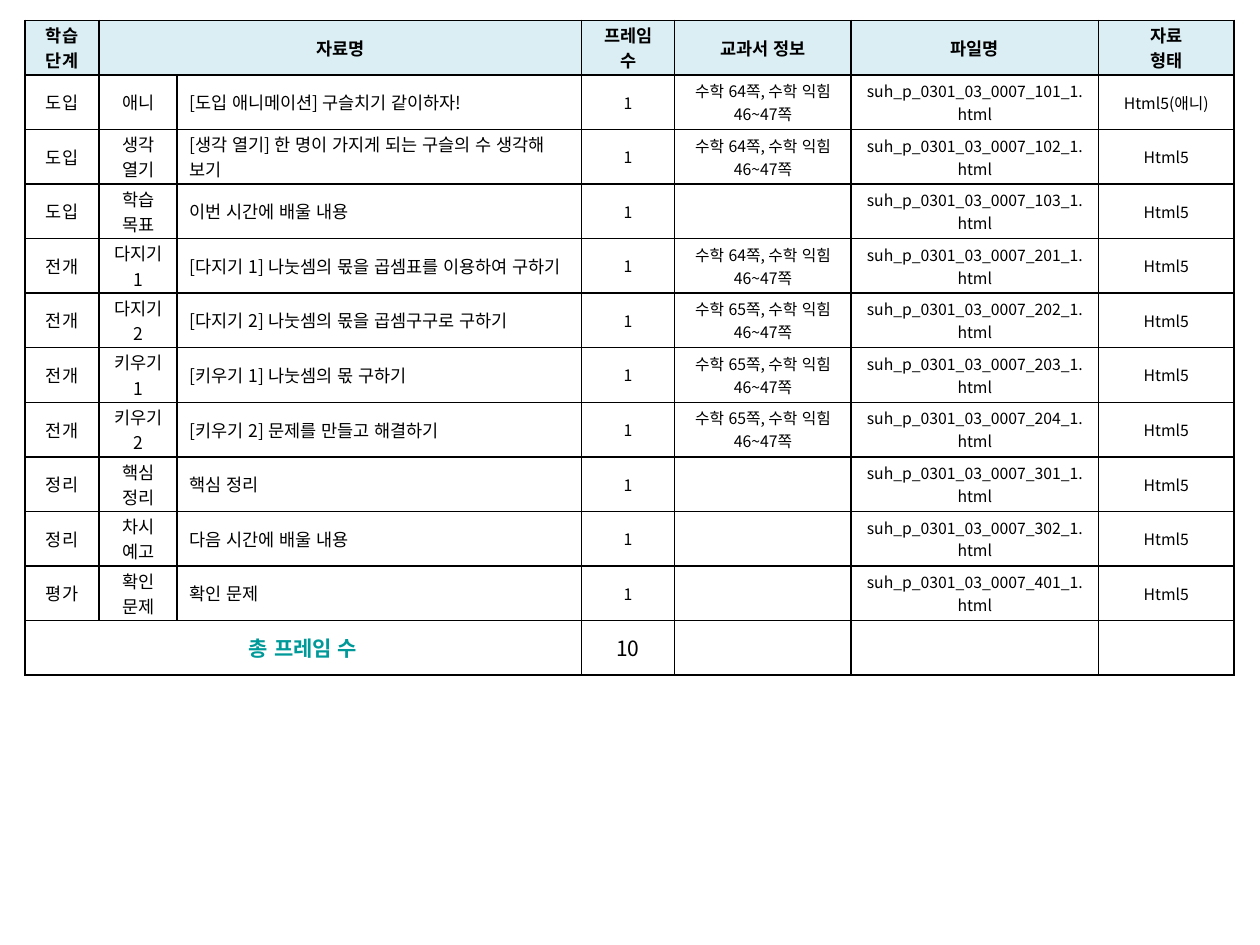
from dataclasses import dataclass

from lxml.etree import SubElement
from pptx import Presentation
from pptx.dml.color import RGBColor
from pptx.enum.lang import MSO_LANGUAGE_ID as Lang
from pptx.enum.text import MSO_ANCHOR as Anchor, PP_ALIGN as Align
from pptx.oxml.ns import qn
from pptx.table import Table, _Cell as Cell
from pptx.util import Cm, Pt

FONT = "Noto Sans CJK KR"
BLACK, WHITE, TEAL, PALE = "000000", "FFFFFF", "009999", "DBEEF4"
WIDTHS = (1.5, 1.57, 8.15, 1.88, 3.56, 4.98, 2.74)
SIZES = (10, 10, 10, 9, 9, 9, 9)
ROW = 1.1
TITLE_COL = 2
HEADS = ("학습 단계", "자료명", "", "프레임 수", "교과서 정보", "파일명", "자료\n형태")


@dataclass
class Lesson:
    stage: str
    step: str
    title: str
    code: int
    page: int = 0
    form: str = "Html5"

    def texts(self) -> tuple[str, ...]:
        book = f"수학 {self.page}쪽, 수학 익힘 46~47쪽" if self.page else ""
        name = f"suh_p_0301_03_0007_{self.code}_1.html"
        return self.stage, self.step, self.title, "1", book, name, self.form


LESSONS = (
    Lesson("도입", "애니", "[도입 애니메이션] 구슬치기 같이하자!", 101, 64, "Html5(애니)"),
    Lesson("도입", "생각 열기", "[생각 열기] 한 명이 가지게 되는 구슬의 수 생각해 보기", 102, 64),
    Lesson("도입", "학습 목표", "이번 시간에 배울 내용", 103),
    Lesson("전개", "다지기 1", "[다지기 1] 나눗셈의 몫을 곱셈표를 이용하여 구하기", 201, 64),
    Lesson("전개", "다지기 2", "[다지기 2] 나눗셈의 몫을 곱셈구구로 구하기", 202, 65),
    Lesson("전개", "키우기1", "[키우기 1] 나눗셈의 몫 구하기", 203, 65),
    Lesson("전개", "키우기2", "[키우기 2] 문제를 만들고 해결하기", 204, 65),
    Lesson("정리", "핵심 정리", "핵심 정리", 301),
    Lesson("정리", "차시 예고", "다음 시간에 배울 내용", 302),
    Lesson("평가", "확인 문제", "확인 문제", 401),
)


def color(code: str) -> RGBColor:
    return RGBColor.from_string(code)


def frame(cell: Cell, fill: str) -> None:
    """Give a cell its borders, fill and insets."""
    props = cell._tc.get_or_add_tcPr()
    for side in ("a:lnL", "a:lnR", "a:lnT", "a:lnB"):
        line = SubElement(props, qn(side), w=str(Pt(1)))
        paint = SubElement(line, qn("a:solidFill"))
        SubElement(paint, qn("a:srgbClr"), val=BLACK)
    cell.fill.solid()
    cell.fill.fore_color.rgb = color(fill)
    cell.vertical_anchor = Anchor.MIDDLE
    # Slim insets let two lines fit the fixed row height
    cell.margin_top = cell.margin_bottom = Cm(0.03)


def write(cell: Cell, text: str, size: int, ink: str = BLACK,
          bold: bool = False, align: Align = Align.CENTER) -> None:
    if not text:
        return
    cell.text_frame.text = text
    for para in cell.text_frame.paragraphs:
        para.alignment = align
        for run in para.runs:
            font = run.font
            font.name, font.size, font.bold = FONT, Pt(size), bold
            font.color.rgb = color(ink)
            font.language_id = Lang.KOREAN
            SubElement(run._r.get_or_add_rPr(), qn("a:ea"), typeface=FONT)


def fill_table(table: Table) -> None:
    last = len(LESSONS) + 1
    for col, width in zip(table.columns, WIDTHS):
        col.width = Cm(width)
    for r, row in enumerate(table.rows):
        row.height = Cm(ROW)
        for cell in row.cells:
            frame(cell, PALE if r == 0 else WHITE)

    # Header
    table.cell(0, 1).merge(table.cell(0, 2))
    for c, head in enumerate(HEADS):
        write(table.cell(0, c), head, 10, bold=True)

    # Lessons
    for r, lesson in enumerate(LESSONS, 1):
        for c, text in enumerate(lesson.texts()):
            align = Align.LEFT if c == TITLE_COL else Align.CENTER
            write(table.cell(r, c), text, SIZES[c], align=align)

    # Total
    table.cell(last, 0).merge(table.cell(last, 2))
    write(table.cell(last, 0), "총 프레임 수", 12, TEAL, True)
    write(table.cell(last, 3), str(len(LESSONS)), 12)


def main() -> None:
    deck = Presentation()
    deck.slide_width, deck.slide_height = Cm(25.4), Cm(19.05)
    slide = deck.slides.add_slide(deck.slide_layouts[6])
    rows = len(LESSONS) + 2
    table = slide.shapes.add_table(
        rows, len(WIDTHS), Cm(0.5), Cm(0.41), Cm(sum(WIDTHS)), Cm(ROW * rows)
    ).table
    table.first_row = table.horz_banding = False
    fill_table(table)
    deck.save("out.pptx")


if __name__ == "__main__":
    main()
